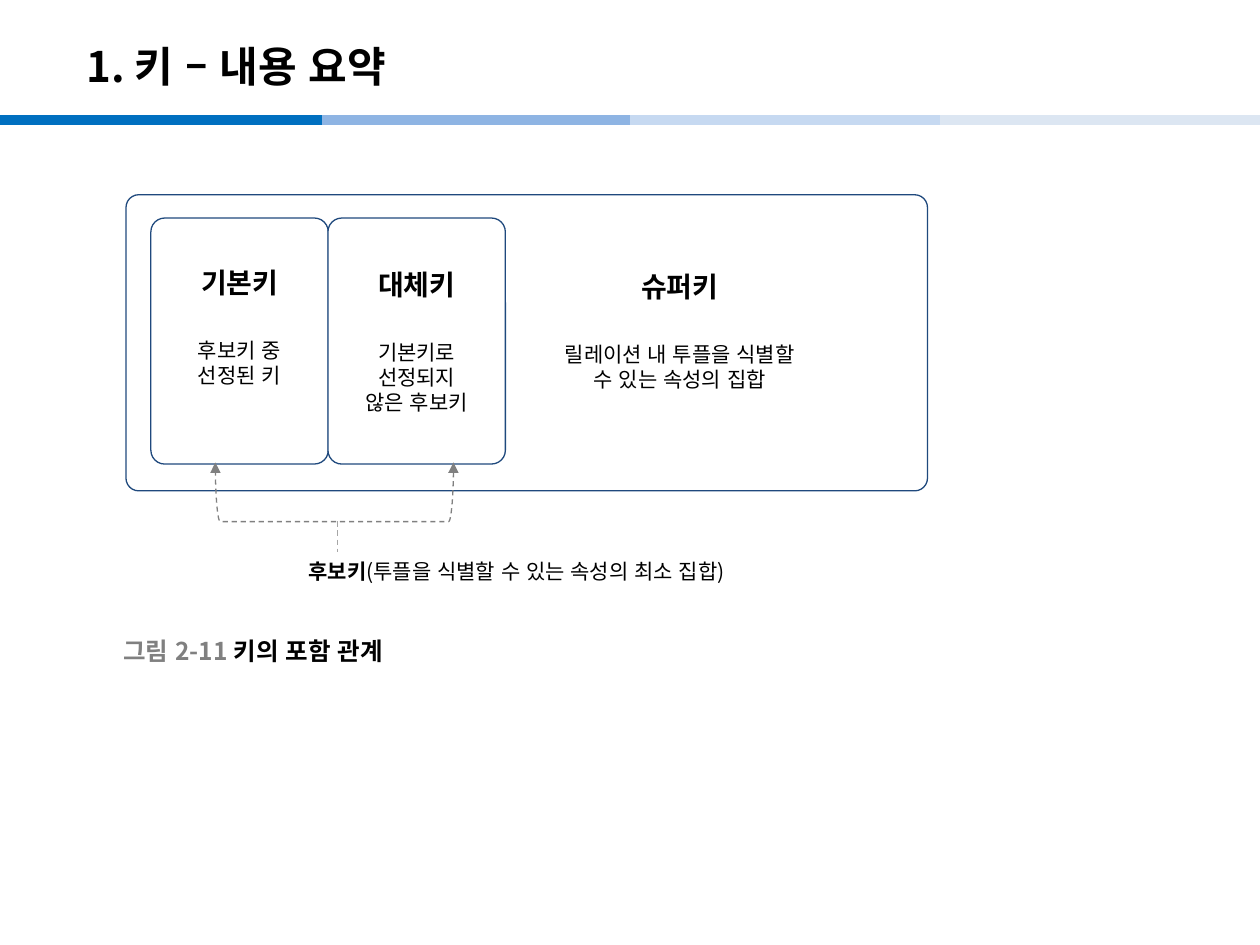
from itertools import pairwise

from lxml.etree import SubElement
from pptx import Presentation
from pptx.dml.color import RGBColor
from pptx.enum.dml import MSO_LINE
from pptx.enum.lang import MSO_LANGUAGE_ID
from pptx.enum.shapes import MSO_CONNECTOR, MSO_SHAPE
from pptx.enum.text import MSO_ANCHOR, MSO_AUTO_SIZE, PP_ALIGN
from pptx.oxml.ns import qn
from pptx.util import Pt

BLACK = RGBColor(0, 0, 0)
WHITE = RGBColor(255, 255, 255)
NAVY = RGBColor(0x1F, 0x49, 0x7D)
GRAY = RGBColor(0x80, 0x80, 0x80)
SILVER = RGBColor(0xA6, 0xA6, 0xA6)
BARS = [RGBColor(0x00, 0x70, 0xC0), RGBColor(0x8E, 0xB4, 0xE3),
        RGBColor(0xC6, 0xD9, 0xF1), RGBColor(0xDC, 0xE6, 0xF2)]
NOTO = "Noto Sans CJK KR"


def add_run(para, text, size, bold=False, color=BLACK, font=NOTO):
    run = para.add_run()
    run.text = text
    face = run.font
    face.name, face.size, face.bold = font, Pt(size), bold
    face.color.rgb = color
    face.language_id = MSO_LANGUAGE_ID.KOREAN
    SubElement(face._element, qn("a:ea")).set("typeface", NOTO)


def add_line(slide, x1, y1, x2, y2, color, width, dash=None):
    line = slide.shapes.add_connector(
        MSO_CONNECTOR.STRAIGHT, Pt(x1), Pt(y1), Pt(x2), Pt(y2))
    line.line.color.rgb = color
    line.line.width = Pt(width)
    if dash:
        line.line.dash_style = dash
    SubElement(line._element.spPr, qn("a:effectLst"))


def add_key(slide, box, curve, name, lines, top, left=7.2, right=7.2):
    """Add a rounded box with a bold key name and its meaning."""
    shape = slide.shapes.add_shape(
        MSO_SHAPE.ROUNDED_RECTANGLE, *map(Pt, box))
    shape.adjustments[0] = curve
    shape.shadow.inherit = False
    shape.fill.solid()
    shape.fill.fore_color.rgb = WHITE
    shape.line.color.rgb = NAVY
    shape.line.width = Pt(0.75)
    frame = shape.text_frame
    frame.word_wrap = True
    frame.vertical_anchor = MSO_ANCHOR.TOP
    frame.margin_top = Pt(top)
    frame.margin_left, frame.margin_right = Pt(left), Pt(right)
    head = frame.paragraphs[0]
    head.alignment = PP_ALIGN.CENTER
    head.line_spacing = Pt(19)
    head.space_after = Pt(22)
    add_run(head, name, 16, True, font="Arial")
    for text in lines:
        para = frame.add_paragraph()
        para.alignment = PP_ALIGN.CENTER
        para.line_spacing = Pt(14.3)
        add_run(para, text, 12, font="Arial")


def add_fork(slide, box):
    """Add the dashed bracket that points up at both keys."""
    fork = slide.shapes.add_shape(MSO_SHAPE.LEFT_BRACKET, *map(Pt, box))
    fork.rotation = 270
    fork.shadow.inherit = False
    fork.fill.background()
    fork.line.color.rgb = GRAY
    fork.line.width = Pt(0.75)
    fork.line.dash_style = MSO_LINE.DASH
    for end in ("a:headEnd", "a:tailEnd"):
        SubElement(fork.line._ln, qn(end)).set("type", "triangle")


def add_label(slide, box, runs, anchor=MSO_ANCHOR.TOP):
    frame = slide.shapes.add_textbox(*map(Pt, box)).text_frame
    frame.word_wrap = True
    frame.vertical_anchor = anchor
    for run in runs:
        add_run(frame.paragraphs[0], *run)


def set_title(slide, text):
    title = slide.shapes.title
    title.left, title.top = Pt(42.5), Pt(15.8)
    title.width, title.height = Pt(595.4), Pt(43.2)
    frame = title.text_frame
    frame.auto_size = MSO_AUTO_SIZE.NONE
    frame.vertical_anchor = MSO_ANCHOR.MIDDLE
    frame.paragraphs[0].alignment = PP_ALIGN.LEFT
    add_run(frame.paragraphs[0], text, 24, True)


def main():
    deck = Presentation()
    deck.slide_width, deck.slide_height = Pt(720), Pt(540)
    slide = deck.slides.add_slide(deck.slide_layouts[5])

    # Header
    for color, (x1, x2) in zip(BARS, pairwise((0, 184, 360, 537, 720))):
        add_line(slide, x1, 68.6, x2, 68.6, color, 6)
    set_title(slide, "1. 키 – 내용 요약")

    # Nested keys
    add_key(slide, (72, 111.3, 458, 169.2), 0.043, "슈퍼키",
            ["릴레이션 내 투플을 식별할", "수 있는 속성의 집합"], 41, 220, 45)
    inner = [("기본키", ["후보키 중", "선정된 키"], 25),
             ("대체키", ["기본키로", "선정되지", "않은 후보키"], 26)]
    for i, (name, lines, top) in enumerate(inner):
        add_key(slide, (86.2 + 101.2 * i, 124.6, 101.4, 140.6), 0.078,
                name, lines, top)

    # Candidate key
    add_fork(slide, (174.2, 213.1, 33.8, 136.1))
    add_line(slide, 193, 298, 193, 315.4, SILVER, 0.75, MSO_LINE.DASH)
    add_label(slide, (169.2, 315.4, 294.5, 21.6),
              [("후보키", 12, True),
               ("(투플을 식별할 수 있는 속성의 최소 집합)", 12)])

    # Caption
    add_label(slide, (63.4, 360.7, 200, 22.3),
              [("그림 2-11 ", 14, True, GRAY),
               ("키의 포함 관계", 14, True)], MSO_ANCHOR.MIDDLE)

    deck.save("out.pptx")


main()
